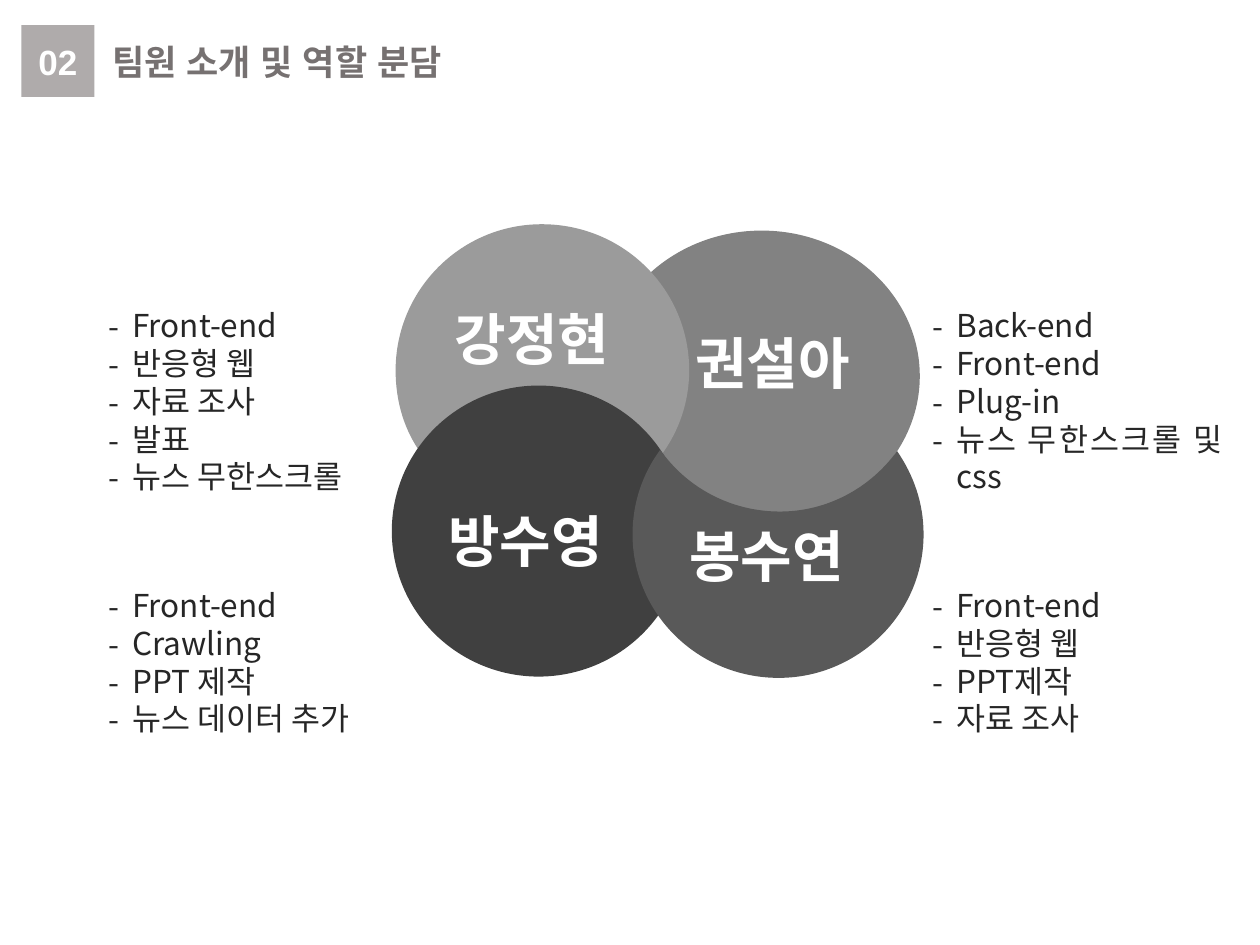
from lxml import etree
from pptx import Presentation
from pptx import util as u
from pptx.dml.color import RGBColor
from pptx.enum import shapes, text
from pptx.oxml import ns

Inches, Pt = u.Inches, u.Pt
WHITE = RGBColor(0xFF, 0xFF, 0xFF)
INK = RGBColor(0x26, 0x26, 0x26)
TITLE_GREY = RGBColor(0x76, 0x71, 0x71)
BADGE_GREY = RGBColor(0xAF, 0xAB, 0xAB)
LIGHT = RGBColor(0x9B, 0x9B, 0x9B)
MEDIUM = RGBColor(0x82, 0x82, 0x82)
DIM = RGBColor(0x59, 0x59, 0x59)
DARK = RGBColor(0x40, 0x40, 0x40)
KOREAN_FONT = "Noto Sans CJK KR"
LINE_HEIGHT = 1.2


def add_curved_shape(start, curves):
    """Closed outline of cubic curves; coordinates are hundredths of an inch."""
    builder = slide.shapes.build_freeform(*start, scale=Inches(0.01))
    builder.add_line_segments([end for _, _, end in curves], close=True)
    shape = builder.convert_to_shape()
    left = min(x for _, _, (x, _) in curves)
    top = min(y for _, _, (_, y) in curves)
    segments = list(shape._element.iter(ns.qn("a:lnTo")))
    for segment, curve in zip(segments, curves):
        segment.tag = ns.qn("a:cubicBezTo")
        for child in list(segment):
            segment.remove(child)
        for x, y in curve:
            etree.SubElement(segment, ns.qn("a:pt"), x=str(x - left), y=str(y - top))
    return shape


def write_korean(paragraph, words, size, color, bold=False):
    paragraph.line_spacing = Pt(round(size * LINE_HEIGHT, 1))
    run = paragraph.add_run()
    run.text = words
    styles = {"size": Pt(size), "name": KOREAN_FONT, "bold": bold}
    for name, value in styles.items():
        setattr(run.font, name, value)
    run.font.color.rgb = color
    east_asian = etree.SubElement(run.font._element, ns.qn("a:ea"))
    east_asian.set("typeface", KOREAN_FONT)


presentation = Presentation()
presentation.slide_width, presentation.slide_height = Inches(10), Inches(7.5)
slide = presentation.slides.add_slide(presentation.slide_layouts[5])

# Title and section number
title = slide.shapes.title
title.left, title.top, title.width, title.height = map(Inches, (0.79, 0.27, 3.59, 0.44))
title.text_frame.text = "팀원 소개 및 역할 분담"
badge = slide.shapes.add_shape(shapes.MSO_SHAPE.RECTANGLE,
                               *map(Inches, (0.17, 0.2, 0.58, 0.57)))
badge.text_frame.text = "02"
headings = [
    (title, TITLE_GREY, text.PP_ALIGN.LEFT, text.MSO_ANCHOR.TOP),
    (badge, WHITE, text.PP_ALIGN.CENTER, text.MSO_ANCHOR.MIDDLE),
]
for shape, color, alignment, anchor in headings:
    frame_format = {"auto_size": text.MSO_AUTO_SIZE.NONE, "word_wrap": True,
                    "vertical_anchor": anchor}
    for name, value in frame_format.items():
        setattr(shape.text_frame, name, value)
    paragraph = shape.text_frame.paragraphs[0]
    paragraph.alignment = alignment
    font = paragraph.runs[0].font
    for name, value in {"size": Pt(20), "name": "Arial", "bold": True}.items():
        setattr(font, name, value)
    font.color.rgb = color
    etree.SubElement(font._element, ns.qn("a:ea")).set("typeface", "Arial")

# Four interlocking circles: two whole, two cut where the next one overlaps
upper_left_cut = ((430, 178), [
    ((495, 178), (547, 230), (547, 294)),
    ((547, 319), (539, 342), (525, 361)),
    ((504, 331), (469, 312), (430, 312)),
    ((391, 312), (356, 331), (335, 361)),
    ((321, 342), (314, 319), (314, 294)),
    ((314, 230), (366, 178), (430, 178)),
])
lower_right_cut = ((524, 357), [
    ((545, 387), (580, 406), (619, 406)),
    ((657, 406), (691, 387), (712, 358)),
    ((725, 377), (733, 399), (733, 424)),
    ((733, 487), (681, 538), (618, 538)),
    ((554, 538), (502, 487), (502, 424)),
    ((502, 399), (510, 376), (524, 357)),
])
filled_shapes = [(badge, BADGE_GREY)]
for ellipse, ellipse_color, outline, outline_color in [
    ((4.79, 1.83, 2.51, 2.31), MEDIUM, upper_left_cut, LIGHT),
    ((3.11, 3.06, 2.33, 2.31), DARK, lower_right_cut, DIM),
]:
    whole = slide.shapes.add_shape(shapes.MSO_SHAPE.OVAL, *map(Inches, ellipse))
    cut = add_curved_shape(*outline)
    filled_shapes += [(whole, ellipse_color), (cut, outline_color)]

for shape, color in filled_shapes:
    shape.shadow.inherit = False
    shape.fill.solid()
    shape.fill.fore_color.rgb = color
    shape.line.fill.background()

# Member names
for name, left, top, width in [
    ("강정현", 3.51, 2.37, 1.64),
    ("권설아", 5.42, 2.56, 1.65),
    ("방수영", 3.46, 3.97, 1.73),
    ("봉수연", 5.37, 4.09, 1.75),
]:
    box = slide.shapes.add_textbox(*map(Inches, (left, top, width, 0.64)))
    box.text_frame.word_wrap = True
    write_korean(box.text_frame.paragraphs[0], name, 32, WHITE, bold=True)

# Role lists beside each circle
LEFT_COLUMN, RIGHT_COLUMN = 0.86, 7.4
UPPER_ROW, LOWER_ROW = 2.43, 4.65
role_lists = [
    (LEFT_COLUMN, UPPER_ROW, 1.51,
     ["Front-end", "반응형 웹", "자료 조사", "발표", "뉴스 무한스크롤"]),
    (RIGHT_COLUMN, UPPER_ROW, 1.82,
     ["Back-end", "Front-end", "Plug-in", "뉴스 무한스크롤 및 css"]),
    (LEFT_COLUMN, LOWER_ROW, 1.21,
     ["Front-end", "Crawling", "PPT 제작", "뉴스 데이터 추가"]),
    (RIGHT_COLUMN, LOWER_ROW, 1.21,
     ["Front-end", "반응형 웹", "PPT제작", "자료 조사"]),
]
for left, top, height, roles in role_lists:
    box = slide.shapes.add_textbox(*map(Inches, (left, top, 2.3, height)))
    frame = box.text_frame
    frame.word_wrap = True
    for side in ("left", "top", "right", "bottom"):
        setattr(frame, f"margin_{side}", 0)
    for index, role in enumerate(roles):
        paragraph = frame.add_paragraph() if index else frame.paragraphs[0]
        paragraph.alignment = text.PP_ALIGN.JUSTIFY
        write_korean(paragraph, role, 18, INK)
        properties = paragraph._p.get_or_add_pPr()
        properties.set("marL", str(Inches(0.19)))
        properties.set("indent", str(-Inches(0.19)))
        etree.SubElement(properties, ns.qn("a:buFont")).set("typeface", KOREAN_FONT)
        etree.SubElement(properties, ns.qn("a:buChar")).set("char", "-")

presentation.save("out.pptx")
